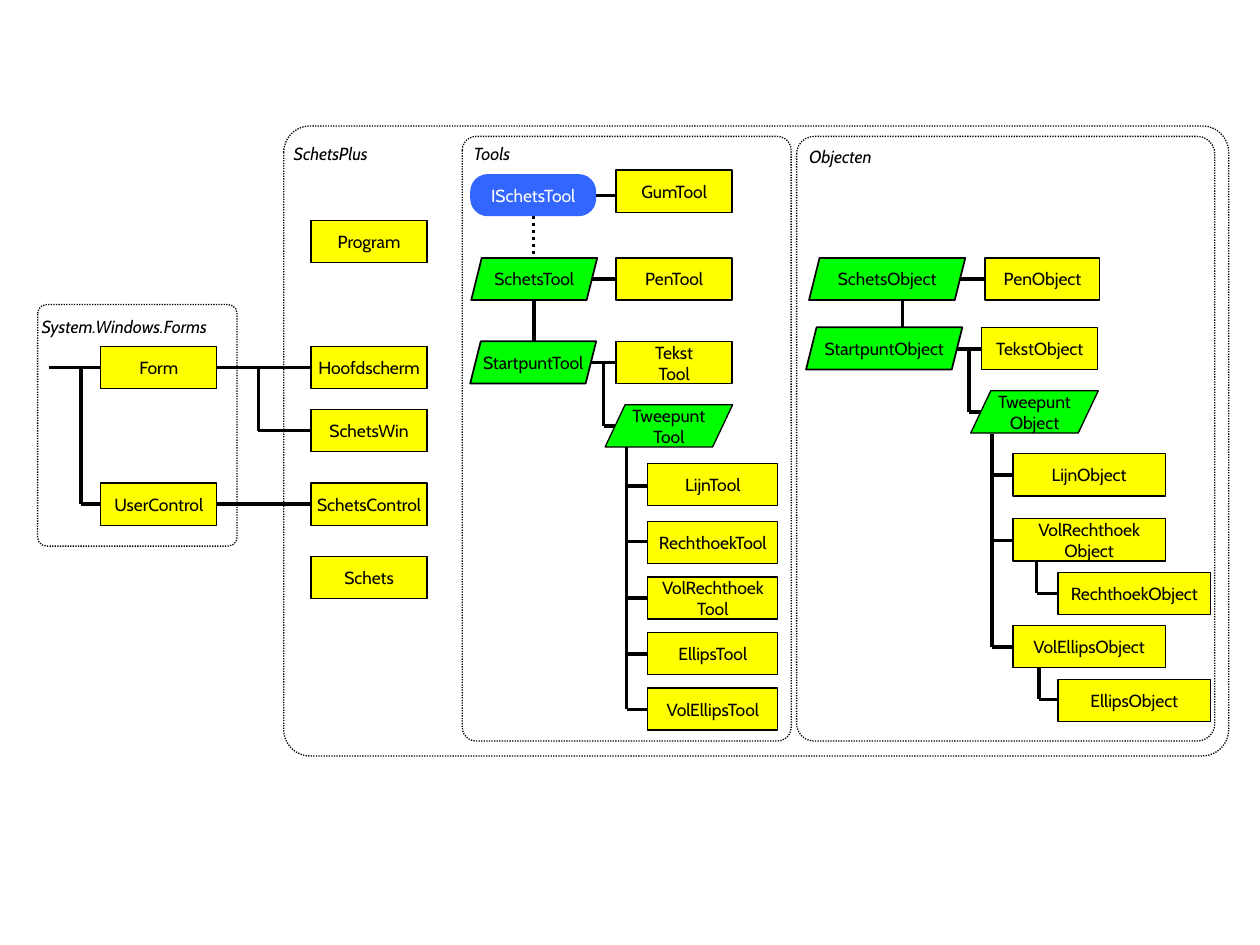
"""Draws the class diagram of SchetsPlus on one slide."""
from lxml.etree import SubElement
from pptx import Presentation
from pptx.dml.color import RGBColor
from pptx.enum.dml import MSO_LINE
from pptx.enum.shapes import MSO_CONNECTOR, MSO_SHAPE
from pptx.enum.text import MSO_ANCHOR, PP_ALIGN
from pptx.oxml.ns import qn
from pptx.util import Cm, Pt

BLACK = RGBColor(0x00, 0x00, 0x00)
WHITE = RGBColor(0xFF, 0xFF, 0xFF)
YELLOW = RGBColor(0xFF, 0xFF, 0x00)
GREEN = RGBColor(0x00, 0xFF, 0x00)
BLUE = RGBColor(0x33, 0x66, 0xFF)


class Diagram:
    FONT, SIZE, BOX_H = "Cabin", Pt(10), 0.85

    def __init__(self, slide):
        self.s = slide

    def set_text(self, tf, text, color=BLACK, align=PP_ALIGN.LEFT, italic=False):
        p = tf.paragraphs[0]
        p.text = text
        p.alignment = align
        p.font.name, p.font.size = self.FONT, self.SIZE
        p.font.italic = italic
        p.font.color.rgb = color

    def shape(self, kind, x, y, w, h, fill=None, line=0.75, adj=None):
        sp = self.s.shapes.add_shape(kind, Cm(x), Cm(y), Cm(w), Cm(h))
        sp.shadow.inherit = False
        if adj is not None:
            sp.adjustments[0] = adj
        if fill is None:
            sp.fill.background()
        else:
            sp.fill.solid()
            sp.fill.fore_color.rgb = fill
        if line:
            sp.line.color.rgb = BLACK
            sp.line.width = Pt(line)
        else:
            sp.line.fill.background()
        return sp

    def node(self, kind, text, x, y, w, fill, color=BLACK, **style):
        tf = self.shape(kind, x, y, w, self.BOX_H, fill, **style).text_frame
        tf.word_wrap = False
        tf.vertical_anchor = MSO_ANCHOR.MIDDLE
        self.set_text(tf, text, color, PP_ALIGN.CENTER)

    def concrete(self, text, x, y, w=2.34):
        self.node(MSO_SHAPE.RECTANGLE, text, x, y, w, YELLOW)

    def abstract(self, text, x, y, w, line=1, adj=0.25):
        self.node(MSO_SHAPE.PARALLELOGRAM, text, x, y, w, GREEN, line=line, adj=adj)

    def interface(self, text, x, y, w):
        self.node(MSO_SHAPE.ROUNDED_RECTANGLE, text, x, y, w, BLUE, WHITE, line=0, adj=0.417)

    def frame(self, x, y, w, h, adj=0.042):
        sp = self.shape(MSO_SHAPE.ROUNDED_RECTANGLE, x, y, w, h, adj=adj)
        sp.line.dash_style = MSO_LINE.ROUND_DOT

    def label(self, text, x, y, w=4.24):
        tf = self.s.shapes.add_textbox(Cm(x), Cm(y), Cm(w), Cm(0.43)).text_frame
        tf.margin_left = tf.margin_right = tf.margin_top = tf.margin_bottom = 0
        tf.word_wrap = True
        self.set_text(tf, text, italic=True)

    def polyline(self, *points, dash=None):
        for (x1, y1), (x2, y2) in zip(points, points[1:]):
            c = self.s.shapes.add_connector(MSO_CONNECTOR.STRAIGHT, Cm(x1), Cm(y1), Cm(x2), Cm(y2))
            c.line.color.rgb = BLACK
            c.line.width = Pt(2)
            if dash:
                c.line.dash_style = dash
            SubElement(c._element.spPr, qn("a:effectLst"))

    def tree(self, x, top, x_end, branches):
        self.polyline((x, top), (x, branches[-1]))
        for y in branches:
            self.polyline((x, y), (x_end, y))


def draw_links(d):
    for x1, x2, y in [(0.99, 2.03, 7.41), (4.37, 6.27, 7.41), (4.37, 6.27, 10.16),
                      (11.84, 12.7, 3.94), (11.84, 12.7, 5.62), (11.84, 12.67, 7.31),
                      (19.25, 20.12, 5.62), (19.2, 20.04, 7.04)]:
        d.polyline((x1, y), (x2, y))
    for x, top, bottom, x_end in [(1.63, 7.41, 10.16, 2.03), (5.21, 7.41, 8.68, 6.27),
                                  (12.17, 7.31, 8.59, 12.42), (19.53, 7.04, 8.31, 19.79),
                                  (20.9, 11.3, 11.96, 21.34), (20.95, 13.44, 14.1, 21.34)]:
        d.polyline((x, top), (x, bottom), (x_end, bottom))
    for x in (10.76, 18.19):
        d.polyline((x, 6.05), (x, 6.89))
    d.polyline((10.75, 4.35), (10.75, 5.21), dash=MSO_LINE.ROUND_DOT)
    d.tree(12.63, 9.01, 13.06, [9.8, 10.92, 12.06, 13.18, 14.3])
    d.tree(20, 8.74, 20.42, [9.58, 10.9, 13.04])


def draw_frames(d):
    d.frame(5.72, 2.54, 19.05, 12.7)
    d.frame(0.76, 6.14, 4.02, 4.87, adj=0.045)
    d.frame(16.06, 2.75, 8.43, 12.19)
    d.frame(9.32, 2.75, 6.63, 12.19)
    d.label("System.Windows.Forms", 0.84, 6.38)
    d.label("SchetsPlus", 5.92, 2.89, 3.28)
    d.label("Tools", 9.55, 2.89)
    d.label("Objecten", 16.31, 2.95)


def draw_classes(d):
    for text, y in [("Form", 6.99), ("UserControl", 9.74)]:
        d.concrete(text, 2.03, y)
    for text, y in [("Program", 4.45), ("Hoofdscherm", 6.99), ("SchetsWin", 8.26),
                    ("SchetsControl", 9.74), ("Schets", 11.22)]:
        d.concrete(text, 6.27, y)

    d.interface("ISchetsTool", 9.48, 3.51, 2.54)
    d.abstract("SchetsTool", 9.5, 5.2, 2.54)
    d.abstract("StartpuntTool", 9.48, 6.88, 2.54)
    d.abstract("Tweepunt\nTool", 12.2, 8.16, 2.57, 0.75, 0.473)
    for text, y in [("GumTool", 3.43), ("PenTool", 5.2), ("Tekst\nTool", 6.89)]:
        d.concrete(text, 12.42, y)
    for text, y in [("LijnTool", 9.34), ("RechthoekTool", 10.51), ("VolRechthoek\nTool", 11.63),
                    ("EllipsTool", 12.75), ("VolEllipsTool", 13.87)]:
        d.concrete(text, 13.06, y, 2.62)

    d.abstract("SchetsObject", 16.31, 5.2, 3.15)
    d.abstract("StartpuntObject", 16.25, 6.6, 3.15)
    d.abstract("Tweepunt\nObject", 19.57, 7.88, 2.57, 0.75, 0.473)
    d.concrete("PenObject", 19.86, 5.2, 2.31)
    d.concrete("TekstObject", 19.79, 6.6)
    for text, x, y in [("LijnObject", 20.42, 9.15), ("VolRechthoek\nObject", 20.42, 10.46),
                       ("RechthoekObject", 21.33, 11.54), ("VolEllipsObject", 20.42, 12.61),
                       ("EllipsObject", 21.33, 13.7)]:
        d.concrete(text, x, y, 3.07)


def main():
    prs = Presentation()
    prs.slide_width, prs.slide_height = Cm(25.4), Cm(19.05)
    d = Diagram(prs.slides.add_slide(prs.slide_layouts[6]))
    draw_links(d)
    draw_frames(d)
    draw_classes(d)
    prs.save("out.pptx")


if __name__ == "__main__":
    main()
